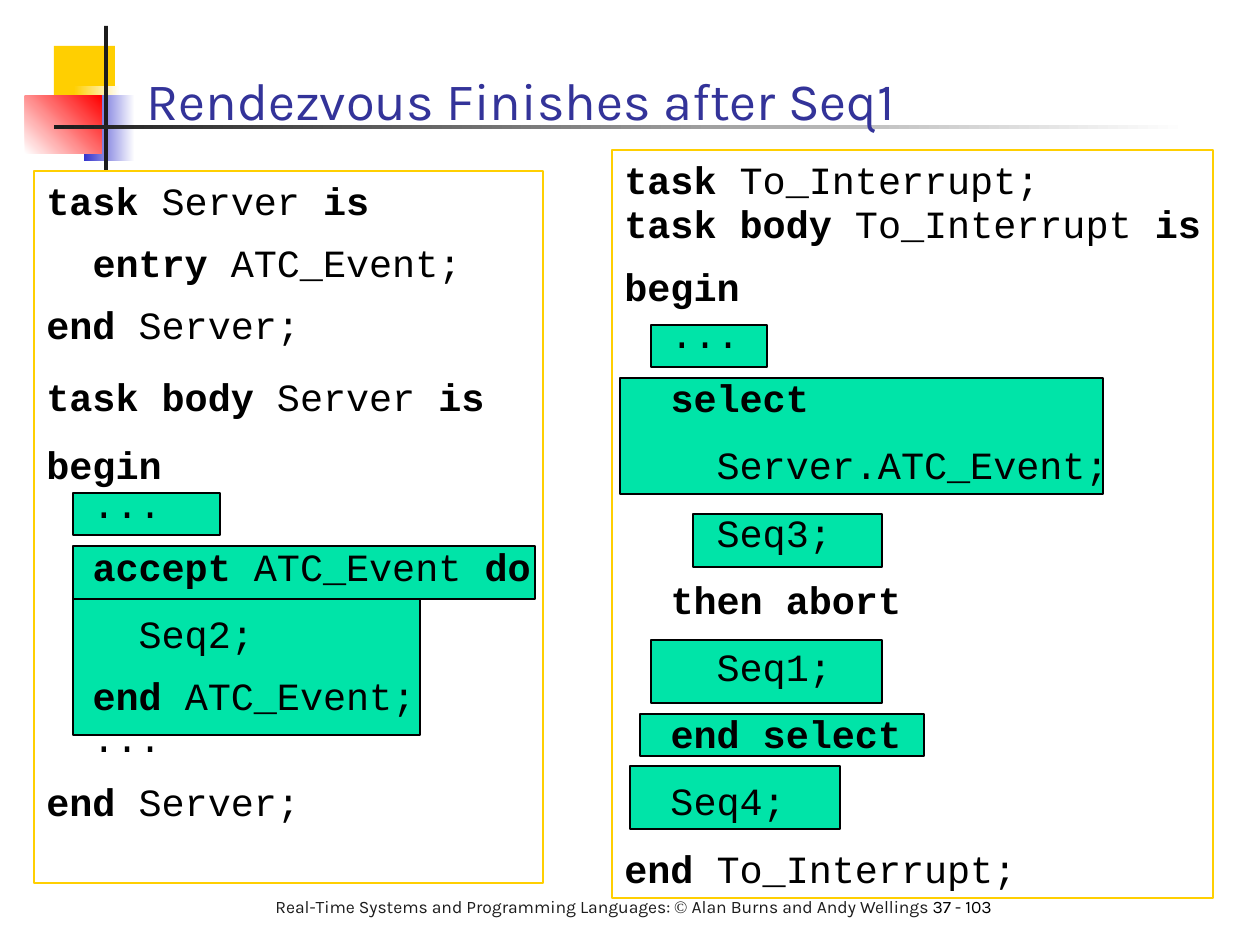
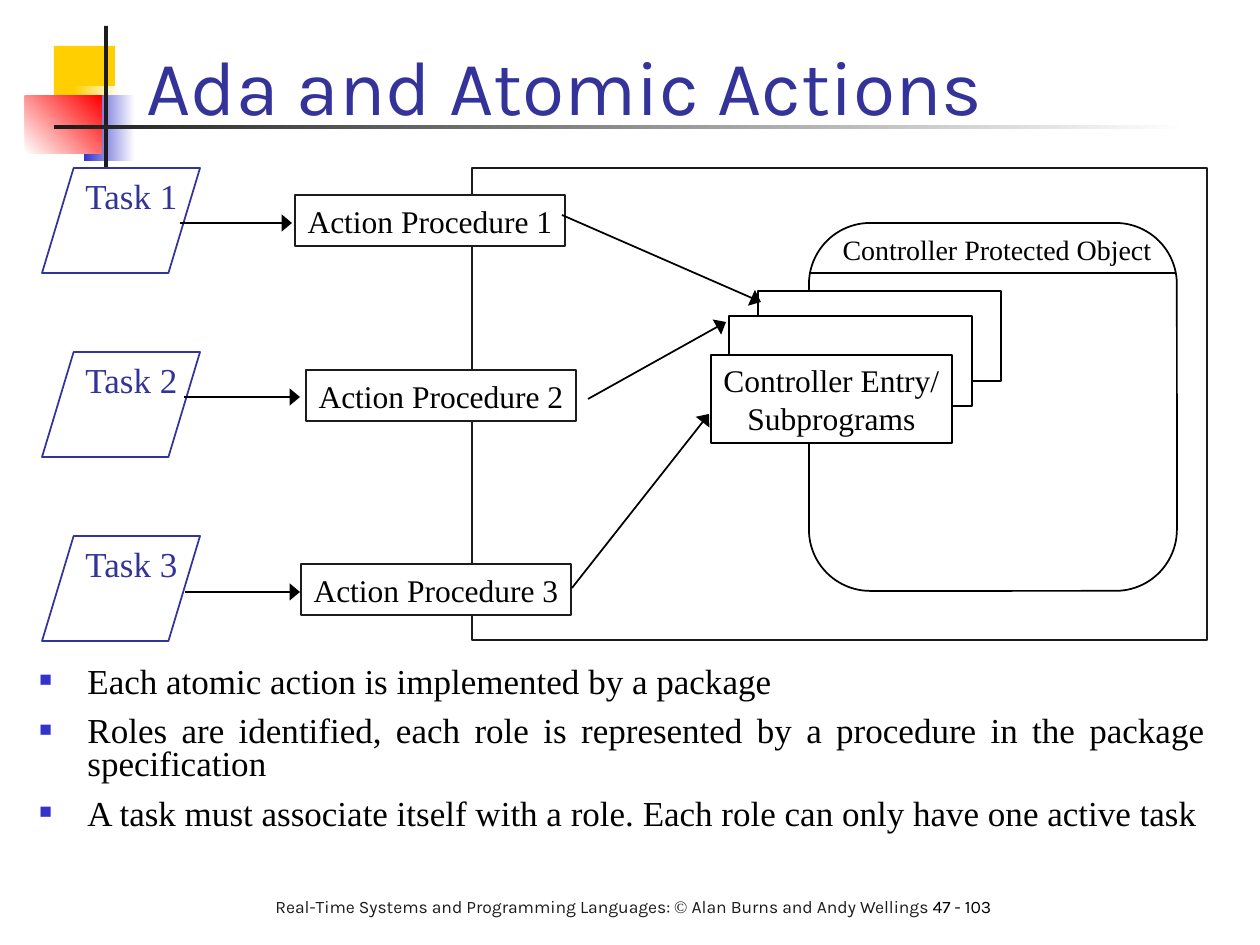
from lxml import etree
from pptx import Presentation
from pptx.dml.color import RGBColor
from pptx.enum.shapes import MSO_CONNECTOR, MSO_SHAPE
from pptx.enum.text import MSO_ANCHOR, PP_ALIGN
from pptx.oxml.ns import qn
from pptx.util import Pt

PX = 914400 / 126

RECTANGLE = MSO_SHAPE.RECTANGLE
PARALLELOGRAM = MSO_SHAPE.FLOWCHART_DATA
ROUNDED = MSO_SHAPE.FLOWCHART_ALTERNATE_PROCESS
STRAIGHT = MSO_CONNECTOR.STRAIGHT
TOP, MIDDLE, BOTTOM = MSO_ANCHOR.TOP, MSO_ANCHOR.MIDDLE, MSO_ANCHOR.BOTTOM
LEFT, CENTER, JUSTIFY = PP_ALIGN.LEFT, PP_ALIGN.CENTER, PP_ALIGN.JUSTIFY

BLACK = RGBColor(0x00, 0x00, 0x00)
WHITE = RGBColor(0xFF, 0xFF, 0xFF)
INK = RGBColor(0x1C, 0x1C, 0x1C)
YELLOW = RGBColor(0xFF, 0xCF, 0x01)
RED = RGBColor(0xFF, 0x00, 0x00)
BLUE = RGBColor(0x33, 0x33, 0xCC)
NAVY = RGBColor(0x33, 0x33, 0x99)
GREEN = RGBColor(0x00, 0xE4, 0xA8)

SANS, SERIF, MONO = "Karla", "Times New Roman", "Courier New"


def add_box(slide, place, fill=None, line=None, kind=RECTANGLE):
    box = slide.shapes.add_shape(kind, *[round(value * PX) for value in place])
    box.shadow.inherit = False
    if fill is None:
        box.fill.background()
    else:
        box.fill.solid()
        box.fill.fore_color.rgb = fill
    if line is None:
        box.line.fill.background()
    else:
        box.line.color.rgb = line
        box.line.width = Pt(1)
    return box


def set_text(box, lines, size, font, color, anchor=TOP, align=LEFT, wrap=False):
    frame = box.text_frame
    frame.word_wrap = wrap
    frame.vertical_anchor = anchor
    for number, line in enumerate(lines):
        para = frame.add_paragraph() if number else frame.paragraphs[0]
        para.alignment = align
        for index, part in enumerate(line.split("|")):
            if part:
                span = para.add_run()
                span.text = part
                span.font.size = Pt(size)
                span.font.name = font
                span.font.color.rgb = color
                span.font.bold = index % 2 == 1
    return frame.paragraphs


deck = Presentation()
deck.slide_width = round(1260 * PX)
deck.slide_height = round(945 * PX)

ornaments = [
    ((54, 46, 61, 65), YELLOW, None, 0),
    ((74, 86, 46, 65), YELLOW, WHITE, 0),
    ((84, 95, 51, 66), BLUE, WHITE, 0),
    ((25, 96, 77, 58), WHITE, RED, 45),
    ((104, 26, 4, 145), INK, None, 0),
    ((54, 125, 1134, 4), INK, WHITE, 0),
]
headings = [
    ("Rendezvous Finishes after Seq1", 30, "37 - 103"),
    ("Ada and Atomic Actions", 44, "47 - 103"),
]

for title, title_size, page_number in headings:
    slide = deck.slides.add_slide(deck.slide_layouts[6])
    for place, start, end, angle in ornaments:
        ornament = add_box(slide, place, start)
        if end is not None:
            ornament.fill.gradient()
            ornament.fill.gradient_angle = angle
            for stop, color, position in zip(ornament.fill.gradient_stops, (start, end), (0, 1)):
                stop.color.rgb = color
                stop.position = position
    footer = slide.shapes.add_textbox(*[round(value * PX) for value in (263, 890, 764, 58)])
    credit = "Real-Time Systems and Programming Languages: |©| Alan Burns and Andy Wellings |"
    footer_line = set_text(footer, [credit + page_number], 10, SANS, INK, wrap=True)[0]
    footer_line.runs[1].font.name = SERIF
    footer_line.runs[3].font.color.rgb = BLACK
    for span in footer_line.runs:
        span.font.bold = False
    heading = slide.shapes.add_textbox(*[round(value * PX) for value in (134, 15, 1074, 122)])
    set_text(heading, [title], title_size, SANS, NAVY, BOTTOM, wrap=True)

code_slide, action_slide = deck.slides

highlights = [
    (640, 714, 284, 42),
    (693, 514, 189, 53),
    (73, 546, 462, 53),
    (620, 378, 483, 116),
    (651, 325, 116, 42),
    (73, 493, 147, 42),
    (73, 599, 347, 136),
    (651, 640, 231, 63),
    (630, 766, 210, 63),
]
for place in highlights:
    add_box(code_slide, place, GREEN, BLACK)

server_code = [
    ("|task| Server |is|", 1, 0, 3),
    ("  |entry| ATC_Event;", 1, 6, 3),
    ("|end| Server;", 1, 6, 6),
    ("|task body| Server |is|", 1, 9, 3),
    ("|begin|", 1, 9, 3),
    ("  ...", 0.3, 9, 3),
    ("  |accept| ATC_Event |do|", 1, 9, 3),
    ("    Seq2;", 1, 9, 3),
    ("  |end |ATC_Event;", 1, 6, 3),
    ("  ...", 0.5, 6, 3),
    ("|end| Server;", 1, 9, 3),
]
interrupt_code = [
    ("|task| To_Interrupt;", 1, 0, 3),
    ("|task body| To_Interrupt |is|", 0.4, 9, 3),
    ("|begin|", 1, 9, 3),
    ("  ...", 0.5, 9, 3),
    ("  |select|", 1, 9, 3),
    ("    Server.ATC_Event;", 1, 9, 3),
    ("    Seq3;", 1, 9, 3),
    ("  |then abort|", 1, 9, 3),
    ("    Seq1;", 1, 9, 3),
    ("  |end select|", 1, 9, 3),
    ("  Seq4;", 1, 9, 3),
    ("|end |To_Interrupt;", 1, 9, 3),
]
for place, code in (((34, 171, 509, 712), server_code), ((612, 150, 601, 748), interrupt_code)):
    panel = add_box(code_slide, place, line=YELLOW)
    panel.text_frame.margin_top = round(6 * PX)
    paras = set_text(panel, [row[0] for row in code], 22, MONO, BLACK)
    for para, (_, spacing, before, after) in zip(paras, code):
        para.line_spacing = spacing
        para.space_before = Pt(before)
        para.space_after = Pt(after)

points = [
    "Each atomic action is implemented by a package",
    "Roles are identified, each role is represented by a procedure in the package specification",
    "A task must associate itself with a role. Each role can only have one active task",
]
body = action_slide.shapes.add_textbox(*[round(value * PX) for value in (27, 661, 1191, 238)])
for number, para in enumerate(set_text(body, points, 20, SERIF, BLACK, align=JUSTIFY, wrap=True)):
    para.line_spacing = 0.8
    para.space_before = Pt(5 if number else 0)
    para.space_after = Pt(3.9)
    properties = para._p.get_or_add_pPr()
    properties.set("marL", str(round(48 * PX)))
    properties.set("indent", str(round(-48 * PX)))
    bullet_color = etree.SubElement(properties, qn("a:buClr"))
    etree.SubElement(bullet_color, qn("a:srgbClr"), val=str(BLUE))
    etree.SubElement(properties, qn("a:buSzPct"), val="60000")
    etree.SubElement(properties, qn("a:buFont"), typeface=SERIF)
    etree.SubElement(properties, qn("a:buChar"), char="■")

add_box(action_slide, (472, 168, 735, 472), line=INK)
for number in range(3):
    top = 168 + 184 * number
    add_box(action_slide, (42, top, 158, 105), WHITE, NAVY, PARALLELOGRAM)
    label = action_slide.shapes.add_textbox(*[round(value * PX) for value in (73, top, 120, 55)])
    set_text(label, [f"Task {number + 1}"], 20, SERIF, NAVY, MIDDLE)

add_box(action_slide, (809, 223, 368, 368), line=BLACK, kind=ROUNDED)
label = action_slide.shapes.add_textbox(*[round(value * PX) for value in (830, 226, 334, 47)])
set_text(label, ["Controller Protected Object"], 16, SERIF, BLACK, MIDDLE, CENTER)

for number, (left, top) in enumerate(((295, 195), (306, 370), (301, 564)), 1):
    procedure = add_box(action_slide, (left, top, 270, 51), WHITE, INK)
    set_text(procedure, [f"Action Procedure {number}"], 18, SERIF, BLACK, MIDDLE, CENTER)

add_box(action_slide, (758, 291, 243, 90), WHITE, BLACK)

links = [
    ((809, 273, 1176, 273), False),
    ((180, 223, 292, 223), True),
    ((184, 397, 300, 397), True),
    ((185, 592, 300, 592), True),
    ((562, 215, 761, 302), True),
    ((588, 399, 726, 322), True),
    ((572, 588, 709, 414), True),
]
for ends, has_arrow in links:
    link = action_slide.shapes.add_connector(STRAIGHT, *[round(value * PX) for value in ends])
    link.line.color.rgb = BLACK
    link.line.width = Pt(1)
    if has_arrow:
        etree.SubElement(link.line._get_or_add_ln(), qn("a:tailEnd"), type="triangle", w="lg")
    etree.SubElement(link._element.spPr, qn("a:effectLst"))

add_box(action_slide, (729, 316, 243, 90), WHITE, BLACK)
entry = add_box(action_slide, (711, 355, 241, 88), WHITE, BLACK)
set_text(entry, ["Controller Entry/", "Subprograms"], 18, SERIF, BLACK, MIDDLE, CENTER)

deck.save("out.pptx")
